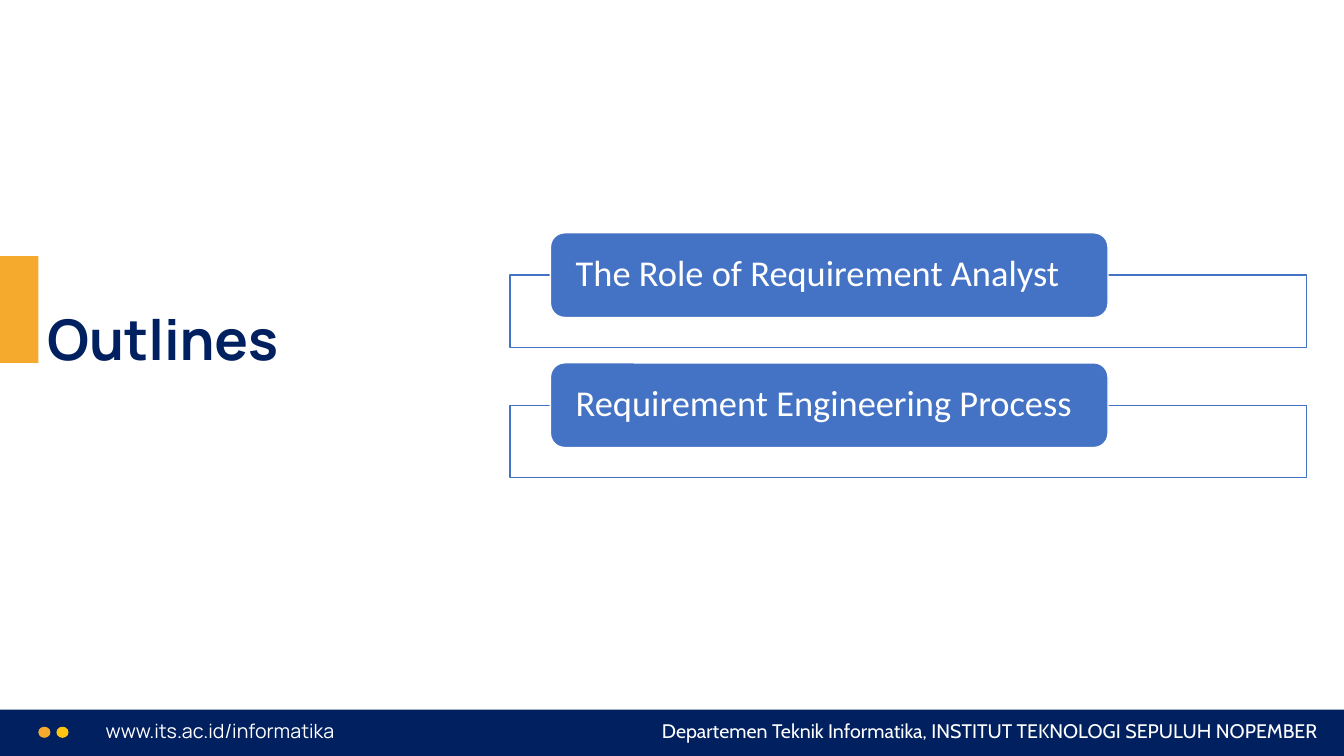
"""Build the Outlines slide with two topic cards and a footer bar."""
from pptx import Presentation
from pptx.dml.color import RGBColor as Rgb
from pptx.enum.shapes import MSO_SHAPE as Kind
from pptx.enum.text import MSO_ANCHOR as Anchor, PP_ALIGN as Align
from pptx.util import Inches, Pt

TITLE = "Outlines"
TOPICS = ["The Role of Requirement Analyst", "Requirement Engineering Process"]
SITE = "www.its.ac.id/informatika"
DEPT = "Departemen Teknik Informatika, INSTITUT TEKNOLOGI SEPULUH NOPEMBER"
DOTS = ["gold", "sun"]

THEME = {
    "navy": "002060", "gold": "F5AA2D", "sun": "FFC411",
    "blue": "4472C4", "white": "FFFFFF",
    "title": 40, "topic": 26, "foot": 14,
    "head": "Manrope", "body": "Calibri", "dept": "Cabin",
}

WIDE, HIGH = 13.33, 7.5
BAR = 0.46
LEFT, TOP, STEP = 5.06, 2.31, 1.29
DOT, DOT_STEP = 0.38, 0.18


def tint(name):
    return Rgb.from_string(THEME[name])


def draw(slide, kind, box, fill, line=None):
    shape = slide.shapes.add_shape(kind, *map(Inches, box))
    shape.shadow.inherit = False
    shape.fill.solid()
    shape.fill.fore_color.rgb = tint(fill)
    if line:
        shape.line.color.rgb = tint(line)
        shape.line.width = Pt(1)
    else:
        shape.line.fill.background()
    return shape


def write(shape, text, size, font, color="white", bold=False,
          align=Align.LEFT, anchor=Anchor.TOP, pad=0.1, edge=0.05, lead=1.0):
    frame = shape.text_frame
    frame.word_wrap = True
    frame.vertical_anchor = anchor
    frame.margin_left = frame.margin_right = Inches(pad)
    frame.margin_top = frame.margin_bottom = Inches(edge)
    para = frame.paragraphs[0]
    para.alignment = align
    para.line_spacing = lead
    run = para.add_run()
    run.text = text
    run.font.size = Pt(THEME[size])
    run.font.name = THEME[font]
    run.font.bold = bold
    run.font.color.rgb = tint(color)


def label(slide, box, text, size, font, **style):
    write(slide.shapes.add_textbox(*map(Inches, box)), text, size, font, **style)


def footer(slide):
    draw(slide, Kind.RECTANGLE, (0, HIGH - BAR, WIDE, BAR), "navy")
    label(slide, (0.95, 7.08, 4.28, 0.34), SITE, "foot", "head")
    for i, color in enumerate(DOTS):
        draw(slide, Kind.OVAL, (DOT + i * DOT_STEP, 7.21, 0.12, 0.11), color)
    label(slide, (5.91, 7.08, 7.26, 0.34), DEPT, "foot", "dept", align=Align.RIGHT)


def card(slide, top, text):
    draw(slide, Kind.RECTANGLE, (LEFT, top + 0.42, 7.9, 0.72), "white", "blue")
    pill = draw(slide, Kind.ROUNDED_RECTANGLE, (LEFT + 0.4, top, 5.53, 0.84),
                "blue", "white")
    write(pill, text, "topic", "body", anchor=Anchor.MIDDLE,
          pad=0.21, edge=0, lead=0.9)


def main():
    deck = Presentation()
    deck.slide_width, deck.slide_height = Inches(WIDE), Inches(HIGH)
    slide = deck.slides.add_slide(deck.slide_layouts[6])
    footer(slide)
    draw(slide, Kind.RECTANGLE, (0, 2.54, 0.38, 1.06), "gold")
    label(slide, (0.37, 2.4, 4.32, 1.35), TITLE, "title", "head", color="navy",
          bold=True, anchor=Anchor.BOTTOM, lead=0.9)
    for i, text in enumerate(TOPICS):
        card(slide, TOP + i * STEP, text)
    deck.save("out.pptx")


if __name__ == "__main__":
    main()
